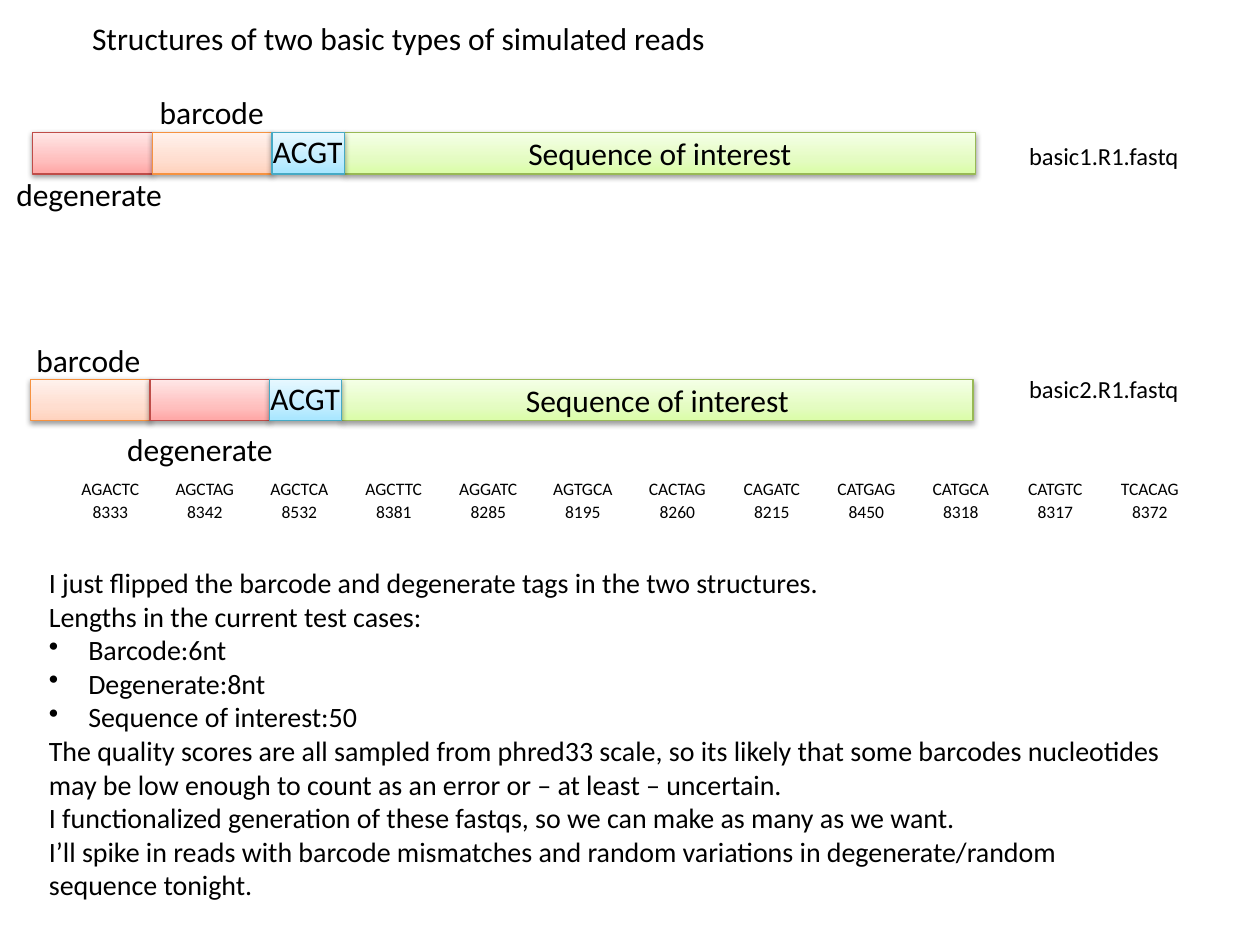
from lxml import etree
from pptx import Presentation
from pptx.dml.color import RGBColor
from pptx.enum.shapes import MSO_SHAPE
from pptx.enum.text import MSO_ANCHOR, MSO_AUTO_SIZE, PP_ALIGN
from pptx.oxml import parse_xml
from pptx.oxml.ns import qn
from pptx.util import Pt

RECTANGLE = MSO_SHAPE.RECTANGLE
LEFT, CENTER = PP_ALIGN.LEFT, PP_ALIGN.CENTER
TOP, MIDDLE, BOTTOM = MSO_ANCHOR.TOP, MSO_ANCHOR.MIDDLE, MSO_ANCHOR.BOTTOM
GROW = MSO_AUTO_SIZE.SHAPE_TO_FIT_TEXT
NAMESPACE = 'xmlns:a="http://schemas.openxmlformats.org/drawingml/2006/main"'
TITLE_ONLY = 5

COLORS = {
    "text": "000000",
    "barcode": ("F69240", "FFD2BD", "FFDED0", "FFF2ED"),
    "degenerate": ("BF4C48", "FFA6A5", "FFC0BF", "FFE7E7"),
    "tag": ("46AAC5", "A7E6FF", "C1EDFF", "E7F8FF"),
    "sequence": ("98B955", "DAFDA7", "E4FCC2", "F5FFE7"),
}
WIDTHS = {"barcode": 68.4, "degenerate": 68.4, "tag": 41.2, "sequence": 360.7}
LABEL_WIDTHS = {"barcode": 74.9, "degenerate": 99.4}
BAR_HEIGHT = 23.8

READS = [
    {"file": "basic1.R1.fastq", "file_top": 77, "left": 18.7, "top": 75.6,
     "order": ("degenerate", "barcode"),
     "labels": {"barcode": (84.2, 49.7), "degenerate": (2.2, 96.5)}},
    {"file": "basic2.R1.fastq", "file_top": 210.2, "left": 17.3, "top": 216.7,
     "order": ("barcode", "degenerate"),
     "labels": {"barcode": (13.7, 191.5), "degenerate": (65.5, 241.9)}},
]
BARCODE_COUNTS = {
    "AGACTC": 8333, "AGCTAG": 8342, "AGCTCA": 8532, "AGCTTC": 8381,
    "AGGATC": 8285, "AGTGCA": 8195, "CACTAG": 8260, "CAGATC": 8215,
    "CATGAG": 8450, "CATGCA": 8318, "CATGTC": 8317, "TCACAG": 8372,
}
LENGTHS = ["Barcode:6nt", "Degenerate:8nt", "Sequence of interest:50"]
NOTES = [
    "I just flipped the barcode and degenerate tags in the two structures.",
    "Lengths in the current test cases:",
    *LENGTHS,
    "The quality scores are all sampled from phred33 scale, so its likely that "
    "some barcodes nucleotides may be low enough to count as an error or "
    "– at least – uncertain.",
    "I functionalized generation of these fastqs, so we can make as many as we want.",
    "I’ll spike in reads with barcode mismatches and random variations in "
    "degenerate/random sequence tonight.",
]


class SlideBuilder:
    """Holds the text style and the current slide."""

    def __init__(self, slide, font="Calibri"):
        """Remember the slide and the font."""
        self.slide = slide
        self.font = font

    def fill_text(self, frame, lines, size, align=LEFT, anchor=TOP):
        """Fill a text frame with one paragraph per line."""
        frame.text = "\n".join(lines)
        frame.vertical_anchor = anchor
        for paragraph in frame.paragraphs:
            paragraph.alignment = align
            paragraph.font.name = self.font
            paragraph.font.size = Pt(size)
            paragraph.font.color.rgb = RGBColor.from_string(COLORS["text"])

    def title(self, text, left, top, width, height):
        """Place and format the title placeholder."""
        shape = self.slide.shapes.title
        shape.left, shape.top = Pt(left), Pt(top)
        shape.width, shape.height = Pt(width), Pt(height)
        self.fill_text(shape.text_frame, [text], 18)
        shape.text_frame.word_wrap = False
        shape.text_frame.auto_size = GROW

    def text(self, lines, left, top, width, height, size=18, wrap=False):
        """Add a text box and return its frame."""
        shape = self.slide.shapes.add_textbox(Pt(left), Pt(top), Pt(width), Pt(height))
        frame = shape.text_frame
        self.fill_text(frame, lines, size)
        frame.word_wrap = wrap
        frame.auto_size = GROW
        return frame

    def bar(self, kind, left, top, text=""):
        """Add one shaded segment of a read."""
        line, bottom, middle, light = COLORS[kind]
        shape = self.slide.shapes.add_shape(
            RECTANGLE, Pt(left), Pt(top), Pt(WIDTHS[kind]), Pt(BAR_HEIGHT))
        shape.line.color.rgb = RGBColor.from_string(line)
        shape.line.width = Pt(0.75)
        stops = "".join(
            f'<a:gs pos="{position}"><a:srgbClr val="{color}"/></a:gs>'
            for position, color in ((0, bottom), (35000, middle), (100000, light)))
        properties = shape.element.spPr
        properties.find(qn("a:ln")).addprevious(parse_xml(
            f'<a:gradFill {NAMESPACE} rotWithShape="1"><a:gsLst>{stops}</a:gsLst>'
            '<a:lin ang="16200000" scaled="1"/></a:gradFill>'))
        properties.append(parse_xml(
            f'<a:effectLst {NAMESPACE}><a:outerShdw blurRad="40000" dist="20000" '
            'dir="5400000" rotWithShape="0"><a:srgbClr val="000000">'
            '<a:alpha val="38000"/></a:srgbClr></a:outerShdw></a:effectLst>'))
        if text:
            self.fill_text(shape.text_frame, [text], 18, CENTER, MIDDLE)

    def read_structure(self, read):
        """Draw a read as adjoining segments with its labels."""
        left, top = read["left"], read["top"]
        for kind in read["order"]:
            self.bar(kind, left, top)
            left += WIDTHS[kind]
        self.bar("sequence", left + WIDTHS["tag"], top, "Sequence of interest")
        self.bar("tag", left, top)
        self.text(["ACGT"], left - 6.6, top - 3.6, 54.7, 29.1)
        for kind, (label_left, label_top) in read["labels"].items():
            self.text([kind], label_left, label_top, LABEL_WIDTHS[kind], 29.1)
        self.text([read["file"]], 581, read["file_top"], 101.5, 24.2, size=14)

    def table(self, rows, left, top, column_width, row_height):
        """Add a plain table of centred text."""
        columns = len(rows[0])
        table = self.slide.shapes.add_table(
            len(rows), columns, Pt(left), Pt(top),
            Pt(column_width * columns), Pt(row_height * len(rows))).table
        table.first_row = table.horz_banding = False
        for row, values in zip(table.rows, rows):
            row.height = Pt(row_height)
            for cell, value in zip(row.cells, values):
                cell.fill.background()
                cell.margin_left = cell.margin_right = cell.margin_top = Pt(0.75)
                cell.margin_bottom = 0
                self.fill_text(cell.text_frame, [str(value)], 10, CENTER)
                cell.vertical_anchor = BOTTOM


def add_bullet(paragraph):
    """Give a paragraph a round bullet and a hanging indent."""
    properties = paragraph._p.get_or_add_pPr()
    properties.set("marL", str(Pt(22.5)))
    properties.set("indent", str(-Pt(22.5)))
    bullet = etree.Element(qn("a:buChar"), char="•")
    properties.insert_element_before(bullet, "a:tabLst", "a:defRPr", "a:extLst")


def main():
    """Build the slide and save it."""
    presentation = Presentation()
    presentation.slide_width, presentation.slide_height = Pt(720), Pt(540)
    slide = presentation.slides.add_slide(presentation.slide_layouts[TITLE_ONLY])
    builder = SlideBuilder(slide)
    builder.title("Structures of two basic types of simulated reads", 45.4, 7.2, 369.4, 29.1)
    for read in READS:
        builder.read_structure(read)
    builder.table([list(BARCODE_COUNTS), list(BARCODE_COUNTS.values())], 36, 273, 54, 13)
    notes = builder.text(NOTES, 20.9, 319.7, 653, 201, size=16, wrap=True)
    for paragraph in notes.paragraphs:
        if paragraph.text in LENGTHS:
            add_bullet(paragraph)
    presentation.save("out.pptx")


main()
